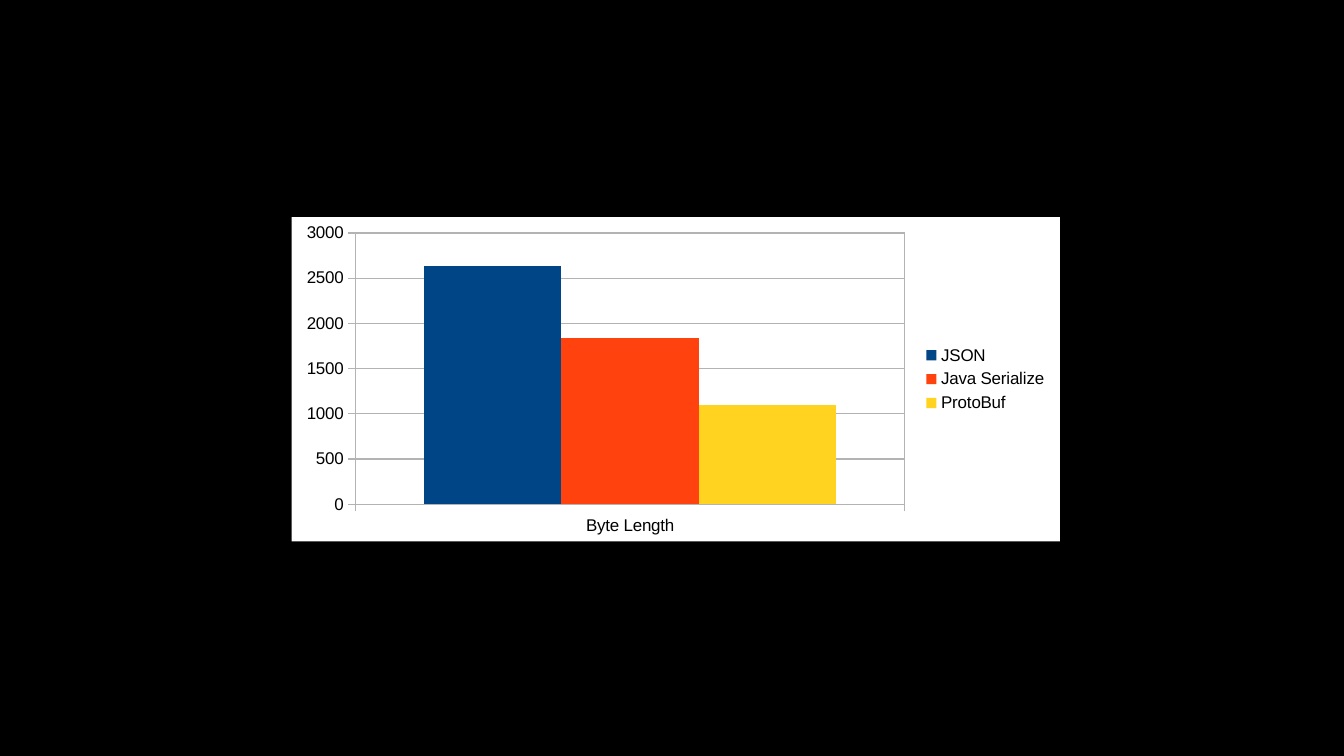
from lxml import etree
from pptx import Presentation
from pptx.chart.data import CategoryChartData
from pptx.dml.color import RGBColor
from pptx.enum.chart import XL_CHART_TYPE, XL_LEGEND_POSITION, XL_TICK_MARK
from pptx.util import Inches, Pt

CLUSTERED = XL_CHART_TYPE.COLUMN_CLUSTERED
LEGEND_RIGHT = XL_LEGEND_POSITION.RIGHT
TICK_OUT, TICK_NONE = XL_TICK_MARK.OUTSIDE, XL_TICK_MARK.NONE
CHART_NS = "http://schemas.openxmlformats.org/drawingml/2006/chart"
DRAWING_NS = "http://schemas.openxmlformats.org/drawingml/2006/main"
COLORS = {
    "background": "000000",
    "panel": "FFFFFF",
    "text": "000000",
    "rule": "B3B3B3",
    "JSON": "004586",
    "Java Serialize": "FF420E",
    "ProtoBuf": "FFD320",
}
BYTE_LENGTHS = {"JSON": 2640, "Java Serialize": 1840, "ProtoBuf": 1100}
CHART_PERCENT = (21.69, 28.71, 57.17, 42.9)
PLOT_PERCENT = {"x": 8.33, "y": 4.94, "w": 71.48, "h": 83.64}


def color(name):
    return RGBColor.from_string(COLORS[name])


def apply(target, formats):
    for attribute, value in formats.items():
        setattr(target, attribute, value)


def chart_xml(tag, body):
    return etree.fromstring(
        f'<c:{tag} xmlns:c="{CHART_NS}" xmlns:a="{DRAWING_NS}">{body}</c:{tag}>'
    )


def solid(name):
    return f'<a:solidFill><a:srgbClr val="{COLORS[name]}"/></a:solidFill>'


class SlideBuilder:
    text_format = {"name": "Arial", "size": Pt(10), "bold": False}

    def __init__(self, deck):
        self.deck = deck
        self.slide = deck.slides.add_slide(deck.slide_layouts[6])

    def background(self, name):
        fill = self.slide.background.fill
        fill.solid()
        fill.fore_color.rgb = color(name)

    def style_text(self, font):
        apply(font, self.text_format)
        font.color.rgb = color("text")

    def style_rule(self, line):
        line.color.rgb = color("rule")
        line.width = Pt(0)

    def style_axis(self, axis):
        apply(axis, {"major_tick_mark": TICK_OUT, "minor_tick_mark": TICK_NONE})
        self.style_text(axis.tick_labels.font)
        self.style_rule(axis.format.line)

    def style_panel(self, chart, plot_percent):
        space = chart.element
        area = space.find(f".//{{{CHART_NS}}}plotArea")
        for layout in area.findall(f"{{{CHART_NS}}}layout"):
            area.remove(layout)
        modes = '<c:layoutTarget val="inner"/><c:xMode val="edge"/><c:yMode val="edge"/>'
        shares = "".join(
            f'<c:{side} val="{percent / 100:.4f}"/>' for side, percent in plot_percent.items()
        )
        area.insert(0, chart_xml("layout", f"<c:manualLayout>{modes}{shares}</c:manualLayout>"))
        area.append(chart_xml("spPr", f'<a:noFill/><a:ln w="0">{solid("rule")}</a:ln>'))
        space.find(f"{{{CHART_NS}}}chart").addnext(
            chart_xml("spPr", f'{solid("panel")}<a:ln><a:noFill/></a:ln>')
        )

    def column_chart(self, category, values, percent, plot_percent):
        data = CategoryChartData()
        data.categories = [category]
        for name, value in values.items():
            data.add_series(name, [value])
        sides = (self.deck.slide_width, self.deck.slide_height) * 2
        box = [int(side * share / 100) for side, share in zip(sides, percent)]
        chart = self.slide.shapes.add_chart(CLUSTERED, *box, data).chart
        apply(chart, {"has_title": False, "has_legend": True})
        self.style_text(chart.font)
        apply(chart.legend, {"position": LEGEND_RIGHT, "include_in_layout": False})
        self.style_text(chart.legend.font)
        apply(chart.plots[0], {"gap_width": 100, "overlap": 0, "vary_by_categories": False})
        for series in chart.plots[0].series:
            series.invert_if_negative = False
            series.format.fill.solid()
            series.format.fill.fore_color.rgb = color(series.name)
        for axis in (chart.category_axis, chart.value_axis):
            self.style_axis(axis)
        apply(
            chart.value_axis,
            {"minimum_scale": 0, "maximum_scale": 3000, "major_unit": 500,
             "has_major_gridlines": True},
        )
        self.style_rule(chart.value_axis.major_gridlines.format.line)
        self.style_panel(chart, plot_percent)


def main():
    deck = Presentation()
    apply(deck, {"slide_width": Inches(11.02), "slide_height": Inches(6.2)})
    builder = SlideBuilder(deck)
    builder.background("background")
    builder.column_chart("Byte Length", BYTE_LENGTHS, CHART_PERCENT, PLOT_PERCENT)
    deck.save("out.pptx")


if __name__ == "__main__":
    main()
